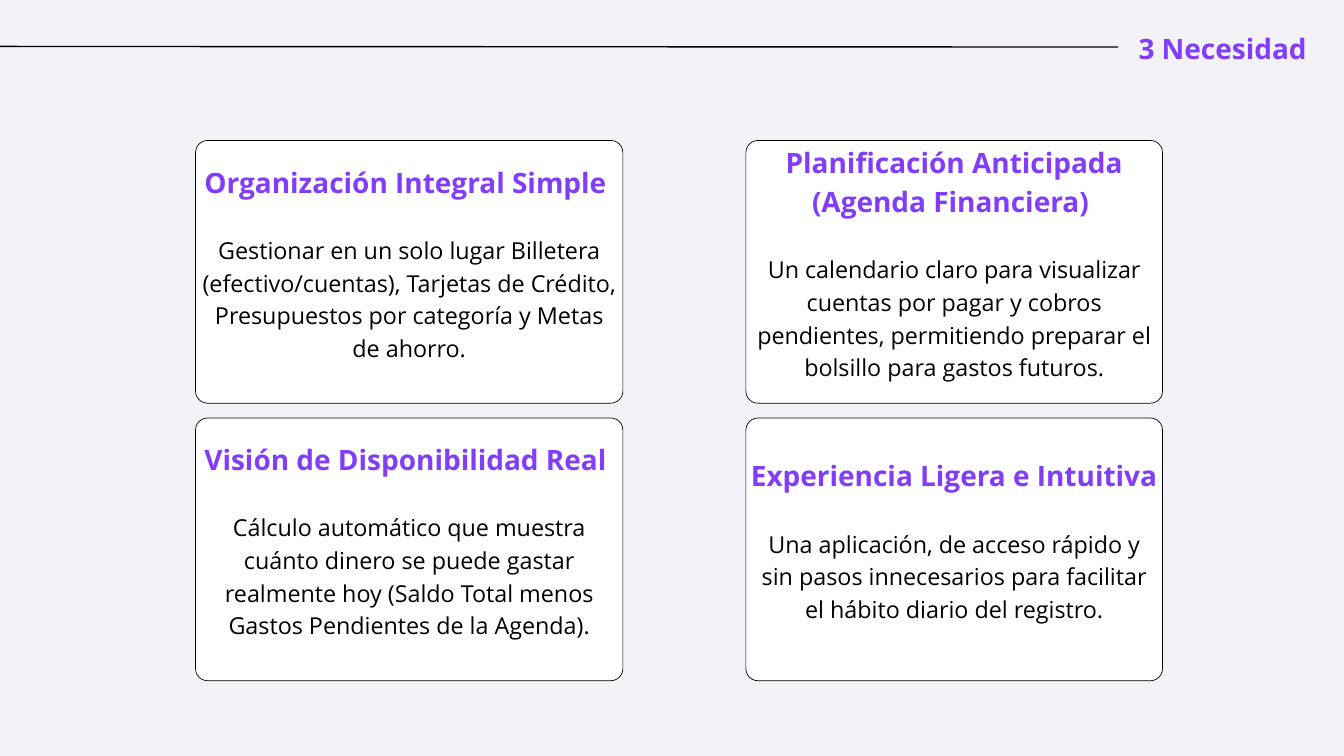
import pptx
import pptx.dml.color
import pptx.enum.shapes
import pptx.enum.text
import pptx.oxml
import pptx.util
from pptx.util import Inches, Pt

PURPLE = "813DF9"
BLACK = "000000"
WHITE = "FFFFFF"
CORNER_RADIUS = 0.18
CARD_HEIGHT = 3.91
TEXT_RISE = 0.33  # the text area starts this far above its card


def rgb(value):
    return pptx.dml.color.RGBColor.from_string(value)


def format_paragraph(para, size, color, bold, line_spacing):
    para.alignment = pptx.enum.text.PP_ALIGN.CENTER
    para.line_spacing = Pt(line_spacing)
    for span in para.runs:
        span.font.name = "Open Sans"
        span.font.size = Pt(size)
        span.font.bold = bold
        span.font.color.rgb = rgb(color)


deck = pptx.Presentation()
deck.slide_width = Inches(20)
deck.slide_height = Inches(11.25)
page = deck.slides.add_slide(deck.slide_layouts[6])
page.background.fill.solid()
page.background.fill.fore_color.rgb = rgb("F2F2F7")

# Header: rule and section title
rule = page.shapes.add_connector(
    pptx.enum.shapes.MSO_CONNECTOR.STRAIGHT,
    Inches(-2.5), Inches(0.69), Inches(16.64), Inches(0.7))
rule.line.color.rgb = rgb(BLACK)
rule.line.width = Pt(1.5)
rule._element.spPr.append(pptx.oxml.parse_xml(
    '<a:effectLst xmlns:a="http://schemas.openxmlformats.org/drawingml/2006/main"/>'))

title_box = page.shapes.add_textbox(
    Inches(16.86), Inches(0.38), Inches(2.67), Inches(0.56))
title_frame = title_box.text_frame
title_frame.word_wrap = True
title_frame.margin_left = title_frame.margin_right = 0
title_frame.margin_top = title_frame.margin_bottom = 0
title_frame.text = "3 Necesidad"
format_paragraph(title_frame.paragraphs[0], 30, PURPLE, True, 42)

# Two by two grid of cards
columns = [(2.91, 6.36), (11.1, 6.2)]  # left, width
row_tops = [2.09, 6.22]
cards = [
    ("Organización Integral Simple ",
     "Gestionar en un solo lugar Billetera (efectivo/cuentas), Tarjetas de "
     "Crédito, Presupuestos por categoría y Metas de ahorro."),
    ("Planificación Anticipada (Agenda Financiera) ",
     "Un calendario claro para visualizar cuentas por pagar y cobros "
     "pendientes, permitiendo preparar el bolsillo para gastos futuros."),
    ("Visión de Disponibilidad Real ",
     "Cálculo automático que muestra cuánto dinero se puede gastar realmente "
     "hoy (Saldo Total menos Gastos Pendientes de la Agenda)."),
    ("Experiencia Ligera e Intuitiva",
     "Una aplicación, de acceso rápido y sin pasos innecesarios para "
     "facilitar el hábito diario del registro."),
]

for index, (heading, description) in enumerate(cards):
    left, width = columns[index % 2]
    top = row_tops[index // 2]

    card = page.shapes.add_shape(
        pptx.enum.shapes.MSO_SHAPE.ROUNDED_RECTANGLE,
        Inches(left), Inches(top), Inches(width), Inches(CARD_HEIGHT))
    card.adjustments[0] = CORNER_RADIUS / CARD_HEIGHT
    card.shadow.inherit = False
    card.fill.solid()
    card.fill.fore_color.rgb = rgb(WHITE)
    card.line.color.rgb = rgb(BLACK)
    card.line.width = Pt(0.75)

    box = page.shapes.add_textbox(
        Inches(left), Inches(top - TEXT_RISE),
        Inches(width), Inches(CARD_HEIGHT + TEXT_RISE))
    frame = box.text_frame
    frame.word_wrap = True
    frame.vertical_anchor = pptx.enum.text.MSO_ANCHOR.MIDDLE
    frame.margin_left = frame.margin_right = Inches(0.06)
    frame.margin_top = frame.margin_bottom = Inches(0.06)

    heading_para = frame.paragraphs[0]
    heading_para.text = heading
    format_paragraph(heading_para, 30, PURPLE, True, 42)

    body_para = frame.add_paragraph()
    body_para.text = description
    body_para.space_before = Pt(35)
    format_paragraph(body_para, 25, BLACK, False, 35)

deck.save("out.pptx")
